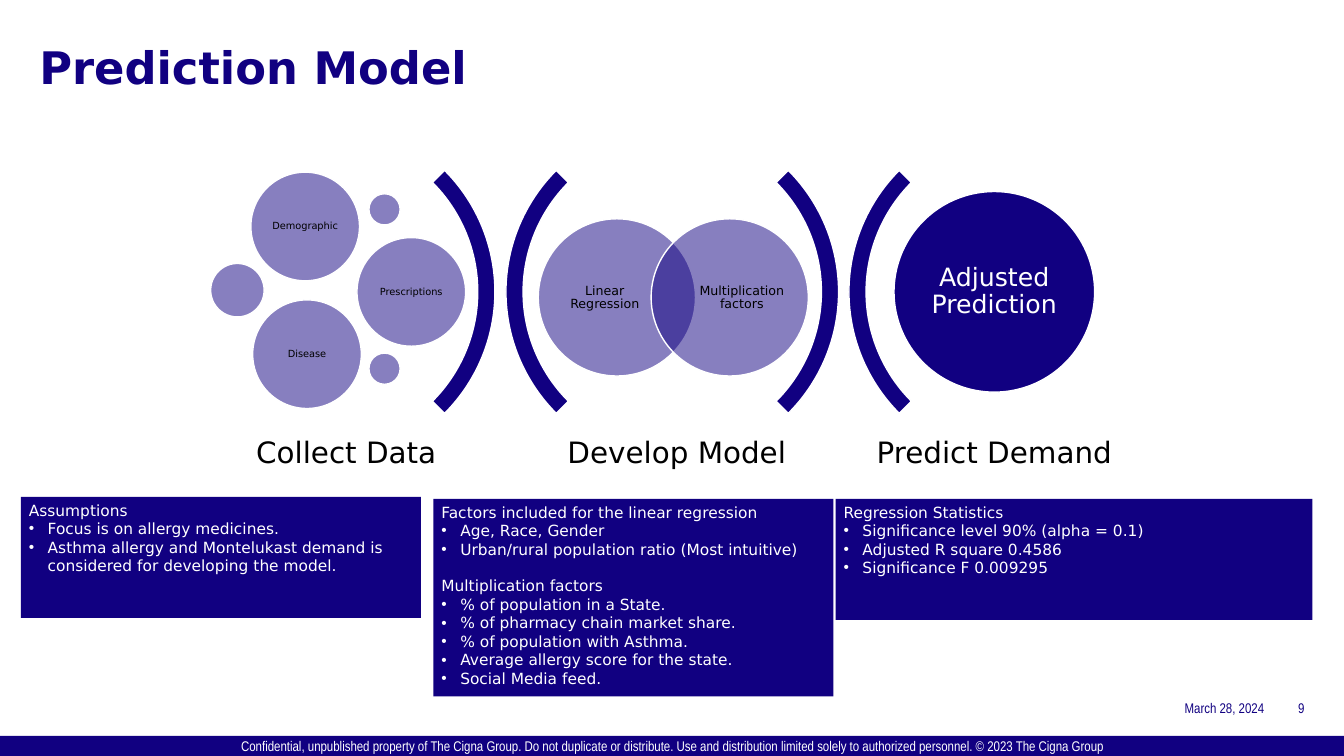
from lxml import etree
from pptx import Presentation
from pptx.dml.color import RGBColor
from pptx.enum.shapes import MSO_SHAPE
from pptx.enum.text import MSO_ANCHOR, PP_ALIGN
from pptx.oxml.ns import qn
from pptx.util import Pt

RECTANGLE, ELLIPSE, ARC = MSO_SHAPE.RECTANGLE, MSO_SHAPE.OVAL, MSO_SHAPE.BLOCK_ARC
TOP, MIDDLE, BOTTOM = MSO_ANCHOR.TOP, MSO_ANCHOR.MIDDLE, MSO_ANCHOR.BOTTOM
LEFT, CENTER, RIGHT = PP_ALIGN.LEFT, PP_ALIGN.CENTER, PP_ALIGN.RIGHT

NAVY, WHITE, BLACK = "110081", "FFFFFF", "000000"
BODY_FONT, FOOTER_FONT = "DejaVu Sans", "Arial Narrow"


def color(hex_string):
    return RGBColor.from_string(hex_string)


class SlideBuilder:
    def __init__(self, slide):
        self.slide = slide

    def fill_text(self, shape, text, size, text_color=BLACK, font=BODY_FONT, bold=False,
                  align=CENTER, anchor=MIDDLE, insets=(0, 0), spacing=None):
        frame = shape.text_frame
        frame.word_wrap = True
        frame.vertical_anchor = anchor
        frame.margin_left = frame.margin_right = Pt(insets[0])
        frame.margin_top = frame.margin_bottom = Pt(insets[1])
        frame.text = text
        for paragraph in frame.paragraphs:
            paragraph.alignment = align
            if spacing:
                paragraph.line_spacing = spacing
            for run in paragraph.runs:
                run.font.size = Pt(size)
                run.font.name = font
                run.font.bold = bold
                run.font.color.rgb = color(text_color)

    def text(self, left, top, width, height, text, size, **style):
        box = self.slide.shapes.add_textbox(Pt(left), Pt(top), Pt(width), Pt(height))
        self.fill_text(box, text, size, **style)

    def shape(self, kind, left, top, width, height, outlined=True):
        shape = self.slide.shapes.add_shape(kind, Pt(left), Pt(top), Pt(width), Pt(height))
        shape.shadow.inherit = False
        shape.fill.solid()
        shape.fill.fore_color.rgb = color(NAVY)
        if outlined:
            shape.line.color.rgb = color(WHITE)
            shape.line.width = Pt(1)
        else:
            shape.line.fill.background()
        return shape

    def arc(self, left, rotation):
        arc = self.shape(ARC, left, 85.7, 245.5, 245.5)
        arc.rotation = rotation
        for index, value in enumerate((135, 189, 0.05)):
            arc.adjustments[index] = value

    def bubble(self, left, top, diameter):
        bubble = self.shape(ELLIPSE, left, top, diameter, diameter)
        fill_color = bubble._element.spPr.find(qn("a:solidFill"))[0]
        etree.SubElement(fill_color, qn("a:alpha"), val="50000")
        return bubble

    def panel(self, left, top, width, height, sections):
        panel = self.shape(RECTANGLE, left, top, width, height, outlined=False)
        lines = [line for heading, items in sections for line in (heading, *items)]
        self.fill_text(panel, "\n".join(lines), 11, text_color=WHITE, align=LEFT,
                       anchor=TOP, insets=(5.7, 2.8))
        headings = [heading for heading, items in sections]
        for index, paragraph in enumerate(panel.text_frame.paragraphs):
            if paragraph.text not in headings:
                self.bullet(paragraph)
            elif index:
                paragraph.space_before = Pt(13)

    def bullet(self, paragraph):
        properties = paragraph._p.get_or_add_pPr()
        properties.set("marL", str(Pt(13.5)))
        properties.set("indent", str(-Pt(13.5)))
        etree.SubElement(properties, qn("a:buFont"), typeface="Arial")
        etree.SubElement(properties, qn("a:buChar"), char="•")


def main():
    presentation = Presentation()
    presentation.slide_width, presentation.slide_height = Pt(960), Pt(540)
    slide = presentation.slides.add_slide(presentation.slide_layouts[6])
    builder = SlideBuilder(slide)

    # Footer and title
    footer = builder.shape(RECTANGLE, 0, 525.6, 960, 14.4, outlined=False)
    builder.fill_text(footer, "Confidential, unpublished property of The Cigna Group. "
                      "Do not duplicate or distribute. Use and distribution limited solely "
                      "to authorized personnel. © 2023 The Cigna Group",
                      10, text_color=WHITE, font=FOOTER_FONT)
    builder.text(28.1, 28.1, 903.6, 72, "Prediction Model", 32, text_color=NAVY,
                 bold=True, align=LEFT, anchor=TOP)
    for left, width, text in ((778.3, 124.6, "March 28, 2024"), (903.6, 28.1, "9")):
        builder.text(left, 497.5, width, 14.4, text, 10, text_color=NAVY,
                     font=FOOTER_FONT, align=RIGHT, anchor=BOTTOM)

    # Arcs between the stages, and stage names
    for left, rotation in ((108, 90), (361.4, 270), (353.5, 90), (606.4, 270)):
        builder.arc(left, rotation)
    for left, stage in ((154.1, "Collect Data"), (390.2, "Develop Model"),
                        (617, "Predict Demand")):
        builder.text(left, 299.5, 186.5, 49, stage, 21, insets=(6.5, 6.5), spacing=0.9)

    # Collected data
    for left, top, source in ((179.2, 123, "Demographic"), (255, 169.7, "Prescriptions"),
                              (180.5, 214.2, "Disease")):
        bubble = builder.bubble(left, top, 77.6)
        builder.fill_text(bubble, source, 7, insets=(2, 2), spacing=0.9)
    for left, top, diameter in ((150.5, 188.2, 38.2), (263.5, 138.4, 22.3),
                                (263.5, 252.2, 22.3)):
        builder.bubble(left, top, diameter)

    # Model methods
    for bubble_left, text_left, method in ((384.5, 399.6, "Linear Regression"),
                                           (465.1, 497.5, "Multiplication factors")):
        builder.bubble(bubble_left, 156.3, 112.3)
        builder.text(text_left, 169.9, 64.8, 85.7, method, 9, spacing=0.9)

    # Predicted demand
    result = builder.shape(ELLIPSE, 638.6, 136.8, 143.3, 143.3)
    builder.fill_text(result, "Adjusted Prediction", 18, text_color=WHITE,
                      insets=(5, 5), spacing=0.9)

    # Detail panels
    builder.panel(596.9, 356.4, 340.6, 86.4, [
        ("Regression Statistics", ["Significance level 90% (alpha = 0.1)",
                                   "Adjusted R square 0.4586",
                                   "Significance F 0.009295"])])
    builder.panel(309.6, 356.4, 285.8, 141.1, [
        ("Factors included for the linear regression",
         ["Age, Race, Gender", "Urban/rural population ratio (Most intuitive)"]),
        ("Multiplication factors",
         ["% of population in a State.", "% of pharmacy chain market share.",
          "% of population with Asthma.", "Average allergy score for the state.",
          "Social Media feed."])])
    builder.panel(14.9, 355, 285.8, 86.4, [
        ("Assumptions", ["Focus is on allergy medicines.",
                         "Asthma allergy and Montelukast demand is considered "
                         "for developing the model."])])

    presentation.save("out.pptx")


if __name__ == "__main__":
    main()
